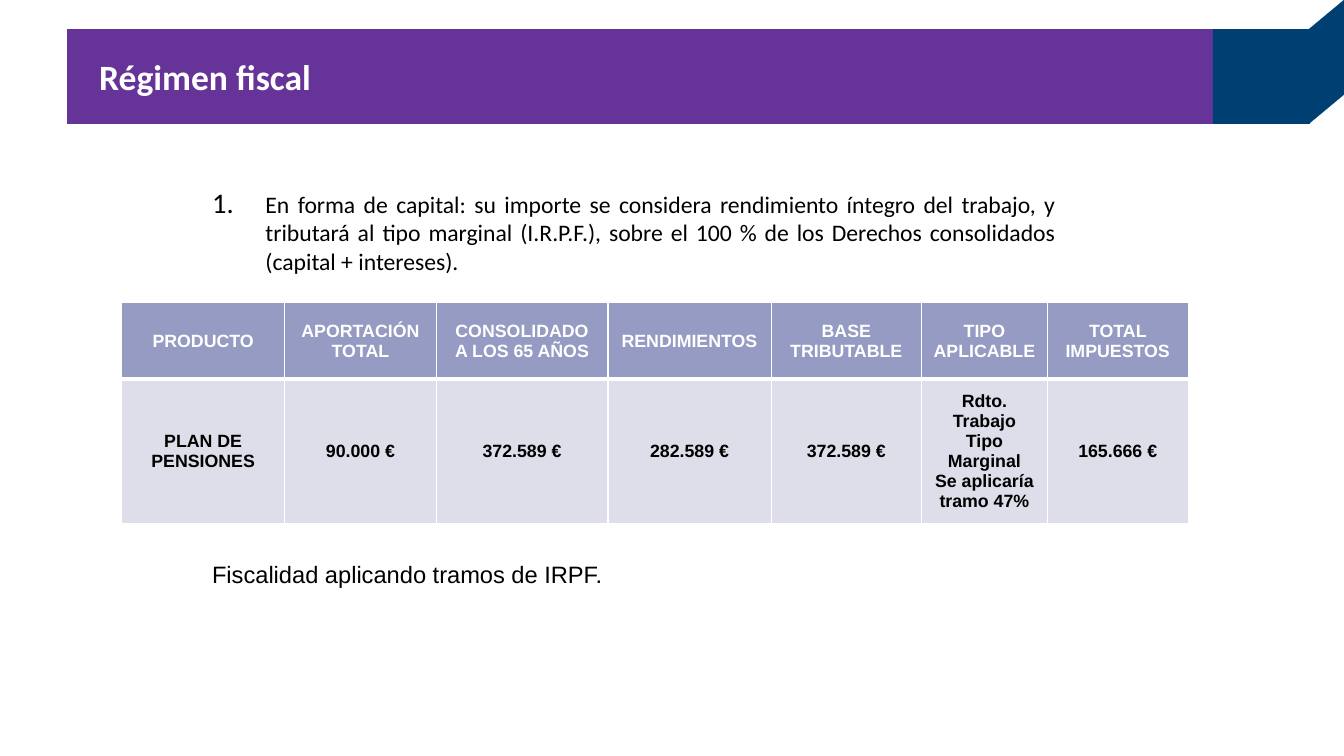
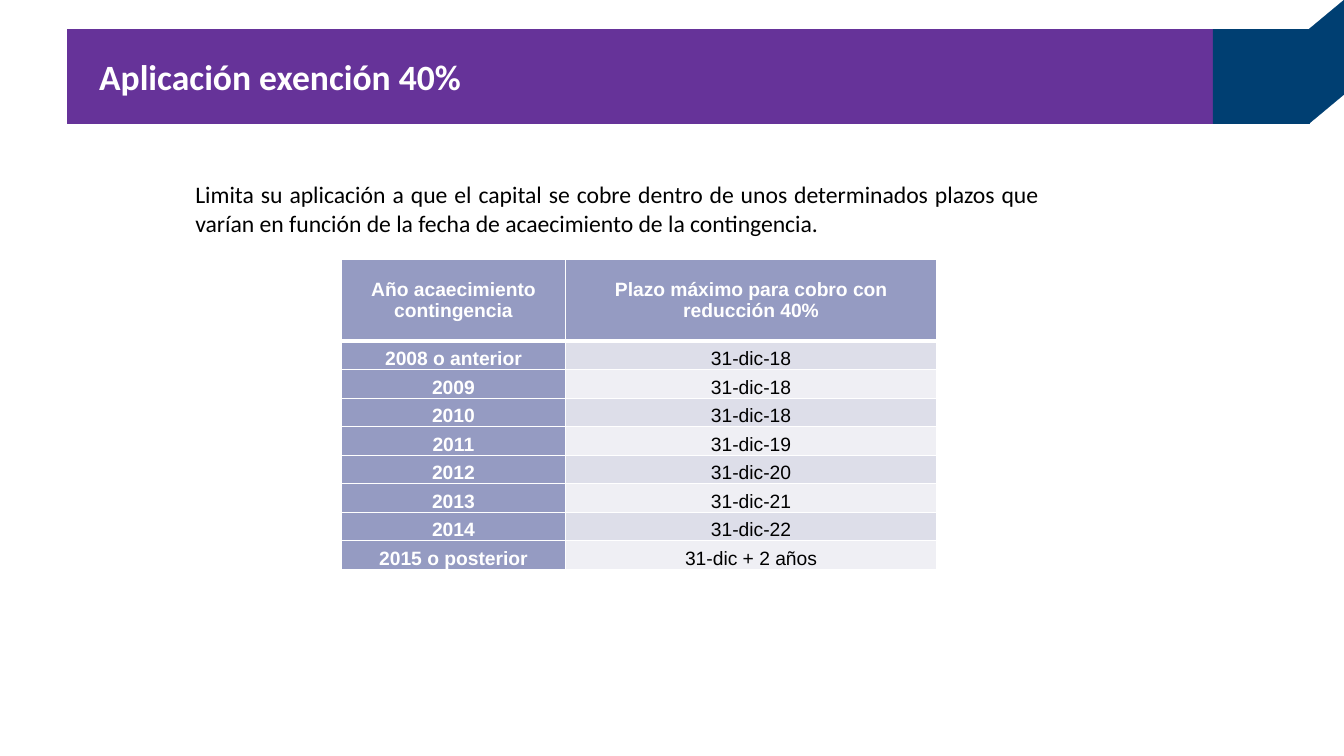
from pptx import Presentation
from pptx.dml.color import RGBColor
from pptx.enum.shapes import MSO_SHAPE
from pptx.enum.text import MSO_ANCHOR, MSO_AUTO_SIZE, PP_ALIGN
from pptx.oxml.ns import qn
from pptx.util import Inches, Pt
from lxml.etree import SubElement

# Shared grid (20 columns by 26 rows, in inches), colours and fonts
WIDTH, HEIGHT = 12.6, 7.09
COLUMN, ROW = WIDTH / 20, HEIGHT / 26
COLORS = {
    "purple": "663399", "navy": "003F72", "white": "FFFFFF", "black": "000000",
    "header": "959BC2", "band": "DDDEE9", "light band": "EFEFF4",
}
BODY_FONT, TABLE_FONT = "Calibri", "Arial"


def write_text(frame, text, size=16, font=BODY_FONT, color="black", bold=False,
               align=PP_ALIGN.LEFT):
    """Write one paragraph for each line of text, all in the same format."""
    frame.word_wrap = True
    for index, line in enumerate(text.split("\n")):
        paragraph = frame.paragraphs[0] if index == 0 else frame.add_paragraph()
        paragraph.alignment = align
        run = paragraph.add_run()
        run.text = line
        run.font.size, run.font.name, run.font.bold = Pt(size), font, bold
        run.font.color.rgb = RGBColor.from_string(COLORS[color])


def fill_table(slide, rows, left, top, widths, heights, size, margins, row_anchor,
               bold_columns, header_columns):
    """Add a table with a header row, white rules and banded rows."""
    table = slide.shapes.add_table(
        len(rows), len(widths), Inches(left), Inches(top),
        Inches(sum(widths)), Inches(sum(heights))).table
    for column, width in zip(table.columns, widths):
        column.width = Inches(width)
    for row_index, values in enumerate(rows):
        table.rows[row_index].height = Inches(heights[row_index])
        for column_index, value in enumerate(values):
            cell = table.cell(row_index, column_index)
            is_header = row_index == 0 or column_index < header_columns
            # Thick rule between the header row and the first body row
            rules = {"lnL": 1, "lnR": 1, "lnT": 3 if row_index == 1 else 1,
                     "lnB": 3 if row_index == 0 else 1}
            properties = cell._tc.get_or_add_tcPr()
            for tag, weight in rules.items():
                rule = SubElement(properties, qn(f"a:{tag}"), w=str(Pt(weight)))
                solid = SubElement(rule, qn("a:solidFill"))
                SubElement(solid, qn("a:srgbClr"), val=COLORS["white"])
            cell.fill.solid()
            body_fill = "band" if row_index % 2 else "light band"
            cell.fill.fore_color.rgb = RGBColor.from_string(
                COLORS["header" if is_header else body_fill])
            cell.margin_left = cell.margin_right = Inches(margins[0])
            cell.margin_top = cell.margin_bottom = Inches(margins[1])
            cell.vertical_anchor = MSO_ANCHOR.MIDDLE if row_index == 0 else row_anchor
            write_text(cell.text_frame, value, size=size, font=TABLE_FONT,
                       color="white" if is_header else "black",
                       bold=is_header or column_index < bold_columns,
                       align=PP_ALIGN.CENTER)


presentation = Presentation()
presentation.slide_width, presentation.slide_height = Inches(WIDTH), Inches(HEIGHT)
layout = presentation.slide_layouts.get_by_name("Title Only")

# Slides with their titles in the band
BAND_TOP, BAND_HEIGHT, BAND_WIDTH = ROW, 3.25 * ROW, 17.05 * COLUMN
slides = []
for title_text in ("Régimen fiscal", "Aplicación exención 40%"):
    slide = presentation.slides.add_slide(layout)
    title = slide.shapes.title
    title.left, title.top = Inches(COLUMN), Inches(BAND_TOP)
    title.width, title.height = Inches(BAND_WIDTH), Inches(BAND_HEIGHT)
    frame = title.text_frame
    frame.auto_size = MSO_AUTO_SIZE.NONE
    frame.vertical_anchor = MSO_ANCHOR.MIDDLE
    frame.margin_left, frame.margin_right = Inches(0.3), Inches(0.1)
    frame.margin_top = frame.margin_bottom = Inches(0.04)
    write_text(frame, title_text, size=24, color="white", bold=True)
    slides.append(slide)
tax_slide, exemption_slide = slides

# Band and folded ribbon, moved to the layout so that both slides share them
SQUARE_LEFT = COLUMN + BAND_WIDTH
FOLD_LEFT = 19.48 * COLUMN
FOLD_WIDTH = WIDTH - FOLD_LEFT
TRIANGLE_LEFT = FOLD_LEFT + (FOLD_WIDTH - ROW) / 2
TRIANGLE_SHIFT = (FOLD_WIDTH - ROW) / 2
RIBBON = [
    (MSO_SHAPE.RECTANGLE, COLUMN, BAND_TOP, BAND_WIDTH, BAND_HEIGHT, 0, "purple"),
    (MSO_SHAPE.RECTANGLE, SQUARE_LEFT, BAND_TOP, FOLD_LEFT - SQUARE_LEFT,
     BAND_HEIGHT, 0, "navy"),
    (MSO_SHAPE.RIGHT_TRIANGLE, TRIANGLE_LEFT, -TRIANGLE_SHIFT, ROW, FOLD_WIDTH,
     270, "navy"),
    (MSO_SHAPE.RIGHT_TRIANGLE, TRIANGLE_LEFT, BAND_HEIGHT - TRIANGLE_SHIFT, ROW,
     FOLD_WIDTH, 90, "navy"),
    (MSO_SHAPE.RECTANGLE, FOLD_LEFT, BAND_TOP, FOLD_WIDTH, BAND_HEIGHT - ROW,
     0, "navy"),
]
for number, (kind, left, top, width, height, rotation, color) in enumerate(RIBBON):
    shape = tax_slide.shapes.add_shape(
        kind, Inches(left), Inches(top), Inches(width), Inches(height))
    shape.rotation = rotation
    shape.shadow.inherit = False
    shape.fill.solid()
    shape.fill.fore_color.rgb = RGBColor.from_string(COLORS[color])
    shape.line.color.rgb = RGBColor.from_string(COLORS[color])
    shape.line.width = Pt(0.1)
    shape.element.nvSpPr.cNvPr.set("id", str(20 + number))
    layout.shapes.element.append(shape.element)

# Slide 1: numbered statement
TEXT_WIDTH = 12.87 * COLUMN
statement = tax_slide.shapes.add_textbox(
    Inches(3 * COLUMN), Inches(6.34 * ROW), Inches(TEXT_WIDTH), Inches(4.5 * ROW))
properties = statement.text_frame.paragraphs[0]._p.get_or_add_pPr()
properties.set("marL", str(Inches(0.5)))
properties.set("indent", str(-Inches(0.5)))
SubElement(properties, qn("a:buSzPct"), val="120000")
SubElement(properties, qn("a:buFont"), typeface=BODY_FONT)
SubElement(properties, qn("a:buAutoNum"), type="arabicPeriod")
write_text(
    statement.text_frame,
    "En forma de capital: su importe se considera rendimiento íntegro del trabajo, "
    "y tributará al tipo marginal (I.R.P.F.), sobre el 100 % de los Derechos "
    "consolidados (capital + intereses).", align=PP_ALIGN.JUSTIFY)

# Slide 1: tax table and note
fill_table(
    tax_slide,
    [["PRODUCTO", "APORTACIÓN\nTOTAL", "CONSOLIDADO\nA LOS 65 AÑOS", "RENDIMIENTOS",
      "BASE\nTRIBUTABLE", "TIPO\nAPLICABLE", "TOTAL IMPUESTOS"],
     ["PLAN DE\nPENSIONES", "90.000 €", "372.589 €", "282.589 €", "372.589 €",
      "Rdto. Trabajo\nTipo Marginal\nSe aplicaría tramo 47%", "165.666 €"]],
    left=1.81 * COLUMN, top=10.41 * ROW,
    widths=[1.53, 1.42, 1.61, 1.53, 1.41, 1.18, 1.32], heights=[0.72, 1.35],
    size=12, margins=(0.1, 0.05), row_anchor=MSO_ANCHOR.MIDDLE,
    bold_columns=7, header_columns=0)
note = tax_slide.shapes.add_textbox(
    Inches(3 * COLUMN), Inches(19.07 * ROW), Inches(7.87 * COLUMN), Inches(1.36 * ROW))
write_text(note.text_frame, "Fiscalidad aplicando tramos de IRPF.", font=TABLE_FONT)

# Slide 2: introduction
introduction = exemption_slide.shapes.add_textbox(
    Inches(2.75 * COLUMN), Inches(6.01 * ROW), Inches(TEXT_WIDTH), Inches(2.5 * ROW))
write_text(
    introduction.text_frame,
    "Limita su aplicación a que el capital se cobre dentro de unos determinados "
    "plazos que varían en función de la fecha de acaecimiento de la contingencia.",
    align=PP_ALIGN.JUSTIFY)

# Slide 2: deadlines table
deadlines = [
    ["Año acaecimiento contingencia", "Plazo máximo para cobro con reducción 40%"],
    ["2008 o anterior", "31-dic-18"],
    ["2009", "31-dic-18"],
    ["2010", "31-dic-18"],
    ["2011", "31-dic-19"],
    ["2012", "31-dic-20"],
    ["2013", "31-dic-21"],
    ["2014", "31-dic-22"],
    ["2015 o posterior", "31-dic + 2 años"],
]
HEADER_HEIGHT, TABLE_HEIGHT = 0.77, 2.91
body_count = len(deadlines) - 1
body_height = (TABLE_HEIGHT - HEADER_HEIGHT) / body_count
fill_table(
    exemption_slide, deadlines, left=5.08 * COLUMN, top=8.91 * ROW,
    widths=[2.1, 3.48], heights=[HEADER_HEIGHT] + [body_height] * body_count,
    size=13, margins=(0.05, 0), row_anchor=MSO_ANCHOR.BOTTOM,
    bold_columns=1, header_columns=1)

presentation.save("out.pptx")
